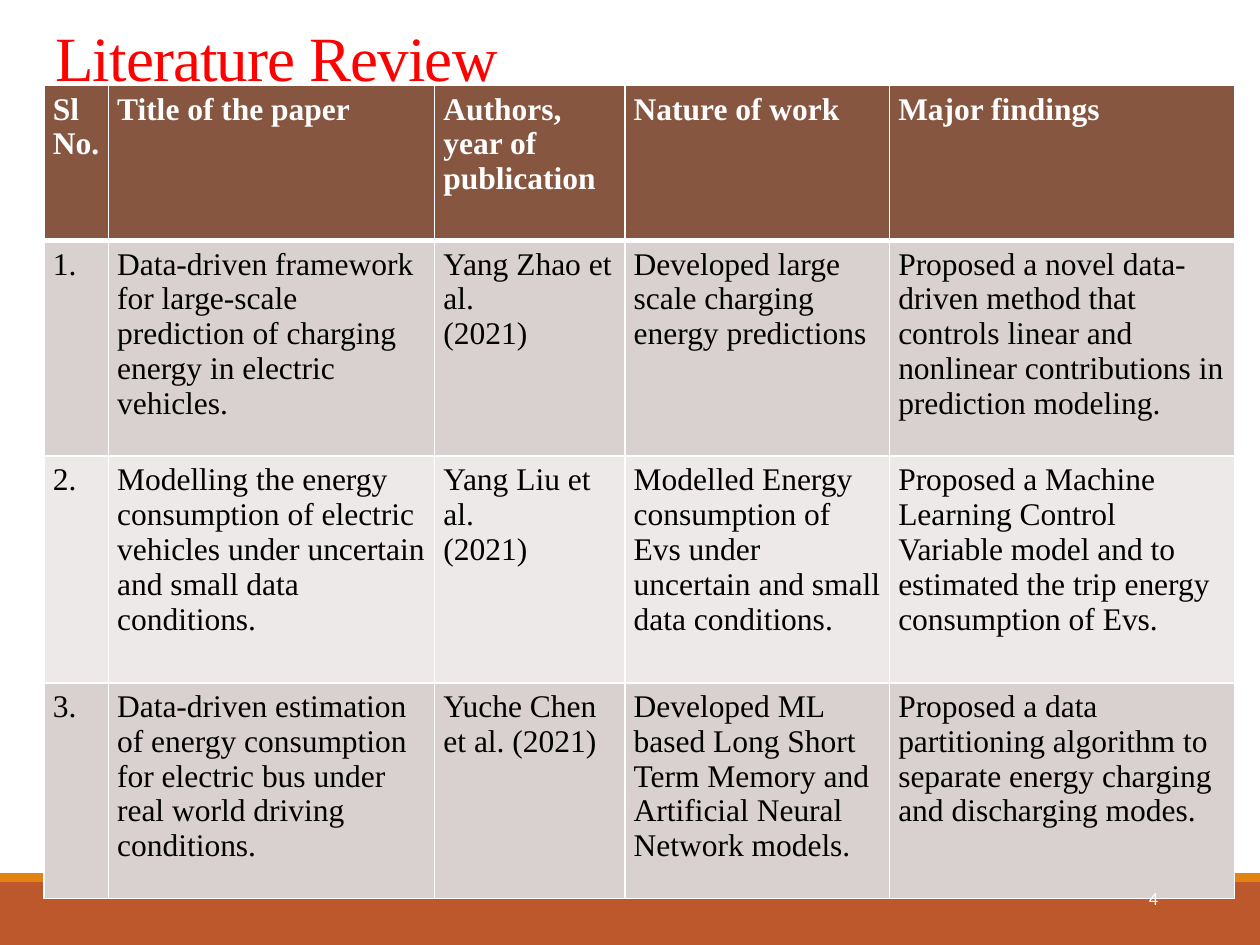
import lxml.etree
import pptx
import pptx.dml.color
import pptx.enum.shapes
import pptx.enum.text
import pptx.oxml.ns
import pptx.util

Inches = pptx.util.Inches
RGBColor = pptx.dml.color.RGBColor
PP_ALIGN = pptx.enum.text.PP_ALIGN
MSO_ANCHOR = pptx.enum.text.MSO_ANCHOR

WHITE = RGBColor(0xFF, 0xFF, 0xFF)
BLACK = RGBColor(0x00, 0x00, 0x00)
RED = RGBColor(0xFF, 0x00, 0x00)
RUST = RGBColor(0xBD, 0x58, 0x2C)
ORANGE = RGBColor(0xE4, 0x83, 0x12)
BROWN = RGBColor(0x86, 0x56, 0x40)
DARK_BAND = RGBColor(0xD9, 0xD1, 0xCF)
LIGHT_BAND = RGBColor(0xED, 0xE9, 0xE8)


def write_text(text_frame, text, size=18, font="Times New Roman", color=BLACK, bold=False,
               align=PP_ALIGN.LEFT, line_spacing=None, tracking=None):
    text_frame.word_wrap = True
    for index, line in enumerate(text.split("\n")):
        paragraph = text_frame.add_paragraph() if index else text_frame.paragraphs[0]
        paragraph.alignment = align
        paragraph.line_spacing = line_spacing
        run = paragraph.add_run()
        run.text = line
        run.font.size = pptx.util.Pt(size)
        run.font.name = font
        run.font.bold = bold
        run.font.color.rgb = color
        if tracking is not None:
            run._r.get_or_add_rPr().set("spc", str(int(tracking * 100)))


def set_borders(cell, widths):
    properties = cell._tc.get_or_add_tcPr()
    for index, (side, width) in enumerate(widths.items()):
        line = lxml.etree.Element(pptx.oxml.ns.qn(f"a:ln{side}"), w=str(pptx.util.Pt(width)))
        fill = lxml.etree.SubElement(line, pptx.oxml.ns.qn("a:solidFill"))
        lxml.etree.SubElement(fill, pptx.oxml.ns.qn("a:srgbClr"), val=str(WHITE))
        properties.insert(index, line)


presentation = pptx.Presentation()
presentation.slide_width = Inches(10)
presentation.slide_height = Inches(7.5)
slide = presentation.slides.add_slide(presentation.slide_layouts[6])

for top, height, color in [(7, 0.5, RUST), (6.93, 0.07, ORANGE)]:
    band = slide.shapes.add_shape(pptx.enum.shapes.MSO_SHAPE.RECTANGLE,
                                  Inches(0), Inches(top), Inches(10), Inches(height))
    band.shadow.inherit = False
    band.fill.solid()
    band.fill.fore_color.rgb = color
    band.line.fill.background()

title = slide.shapes.add_textbox(Inches(0.34), Inches(-0.27), Inches(8.53), Inches(1.07))
title.text_frame.vertical_anchor = MSO_ANCHOR.BOTTOM
write_text(title.text_frame, "Literature Review", size=36, color=RED,
           line_spacing=0.85, tracking=-0.5)

column_widths = [0.51, 2.59, 1.51, 2.1, 2.74]
row_heights = [1.23, 1.71, 1.8, 1.71]
papers = [
    ["Sl\nNo.", "Title of the paper", "Authors, year of publication", "Nature of work",
     "Major findings"],
    ["1.",
     "Data-driven framework for large-scale prediction of charging energy in electric vehicles.",
     "Yang Zhao et al.\n(2021)",
     "Developed large scale charging energy predictions",
     "Proposed a novel data-driven method that controls linear and nonlinear contributions "
     "in prediction modeling."],
    ["2.",
     "Modelling the energy consumption of electric vehicles under uncertain and small data "
     "conditions.",
     "Yang Liu et al.\n(2021)",
     "Modelled Energy consumption of Evs under uncertain and small data conditions.",
     "Proposed a Machine Learning Control Variable model and to estimated the trip energy "
     "consumption of Evs."],
    ["3.",
     "Data-driven estimation of energy consumption for electric bus under real world driving "
     "conditions.",
     "Yuche Chen et al. (2021)",
     "Developed ML based Long Short Term Memory and Artificial Neural Network models.",
     "Proposed a data partitioning algorithm to separate energy charging and discharging modes."],
]

table = slide.shapes.add_table(len(papers), len(column_widths), Inches(0.35), Inches(0.68),
                               Inches(sum(column_widths)), Inches(sum(row_heights))).table
for column, width in zip(table.columns, column_widths):
    column.width = Inches(width)
for row, height in zip(table.rows, row_heights):
    row.height = Inches(height)

for row_index, paper in enumerate(papers):
    is_header = row_index == 0
    band_color = BROWN if is_header else DARK_BAND if row_index % 2 else LIGHT_BAND
    for column_index, text in enumerate(paper):
        cell = table.cell(row_index, column_index)
        cell.margin_left = cell.margin_right = Inches(0.07)
        cell.margin_top = cell.margin_bottom = Inches(0.05)
        cell.fill.solid()
        cell.fill.fore_color.rgb = band_color
        set_borders(cell, {"L": 1, "R": 1, "T": 3 if row_index == 1 else 1,
                           "B": 3 if is_header else 1})
        write_text(cell.text_frame, text, color=WHITE if is_header else BLACK, bold=is_header)

page_number = slide.shapes.add_textbox(Inches(7.04), Inches(6.93), Inches(2.25), Inches(0.4))
page_number.text_frame.vertical_anchor = MSO_ANCHOR.MIDDLE
write_text(page_number.text_frame, "4", size=10.5, font="Calibri", color=WHITE,
           align=PP_ALIGN.RIGHT)

presentation.save("out.pptx")
